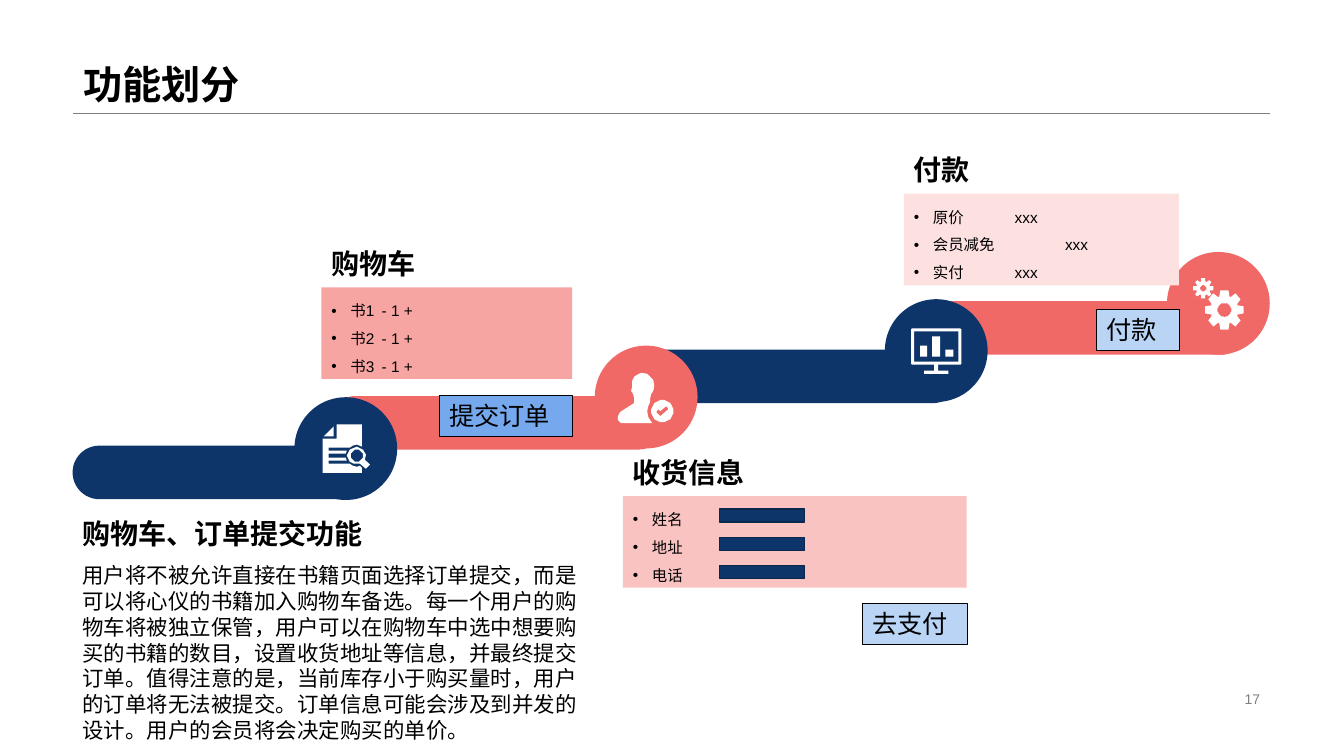
from dataclasses import dataclass
from math import cos, pi, sin

from lxml.etree import SubElement
from pptx import Presentation
from pptx.dml.color import RGBColor
from pptx.enum.shapes import MSO_CONNECTOR, MSO_SHAPE
from pptx.enum.text import MSO_ANCHOR as Anchor, MSO_AUTO_SIZE as AutoSize, PP_ALIGN as Align
from pptx.oxml.ns import qn
from pptx.util import Cm, Pt


@dataclass(frozen=True)
class Theme:
    font: str = "Arial"
    black: str = "000000"
    white: str = "FFFFFF"
    grey: str = "808080"
    navy: str = "0E3569"
    navy_edge: str = "0A274E"
    coral: str = "F06966"
    coral_mid: str = "F6A5A3"
    coral_light: str = "F9C3C2"
    coral_pale: str = "FCE1E0"
    blue: str = "75A8ED"
    blue_light: str = "BAD4F6"
    title: float = 28
    heading: float = 20
    button: float = 18
    body: float = 15.3
    item: float = 11
    number: float = 10


theme = Theme()
presentation = Presentation()
presentation.slide_width, presentation.slide_height = Cm(33.87), Cm(19.05)
slide = presentation.slides.add_slide(presentation.slide_layouts[5])
shapes = slide.shapes


def paint(shape, fill, line=None, width=0.75):
    shape.shadow.inherit = False
    shape.fill.solid()
    shape.fill.fore_color.rgb = RGBColor.from_string(fill)
    if line:
        shape.line.color.rgb = RGBColor.from_string(line)
        shape.line.width = Pt(width)
    else:
        shape.line.fill.background()


def write(shape, lines, size, bold=False, color=theme.black, anchor=Anchor.TOP,
          align=Align.LEFT, spacing=None, bullets=False):
    frame = shape.text_frame
    frame.word_wrap = True
    frame.auto_size = AutoSize.NONE
    frame.vertical_anchor = anchor
    for index, line in enumerate(lines):
        paragraph = frame.add_paragraph() if index else frame.paragraphs[0]
        paragraph.alignment = align
        if spacing:
            paragraph.line_spacing = spacing
        if bullets:
            properties = paragraph._p.get_or_add_pPr()
            properties.set("marL", str(Cm(0.48)))
            properties.set("indent", str(-Cm(0.48)))
            SubElement(properties, qn("a:buFont"), typeface=theme.font)
            SubElement(properties, qn("a:buChar"), char="•")
        run = paragraph.add_run()
        run.text = line
        run.font.name = theme.font
        run.font.size = Pt(size)
        run.font.bold = bold
        run.font.color.rgb = RGBColor.from_string(color)


# Title, rule below it and page number
title = shapes.title
title.left, title.top, title.width, title.height = Cm(1.85), Cm(0), Cm(30.15), Cm(2.84)
write(title, ["功能划分"], theme.title, bold=True, anchor=Anchor.BOTTOM, spacing=0.9)

rule = shapes.add_connector(MSO_CONNECTOR.STRAIGHT, Cm(1.85), Cm(2.84), Cm(32), Cm(2.84))
rule.line.color.rgb = RGBColor.from_string(theme.grey)
rule.line.width = Pt(0.25)
SubElement(rule._element.spPr, qn("a:effectLst"))

page_number = shapes.add_textbox(Cm(23.93), Cm(17.32), Cm(8.08), Cm(0.58))
write(page_number, ["17"], theme.number, color=theme.grey, anchor=Anchor.MIDDLE,
      align=Align.RIGHT)

# Rising path: bars first, then the round stations
for left, top, width, color in [
    (15.7, 8.81, 8.48, theme.navy),
    (8.28, 9.98, 8.48, theme.coral),
    (1.83, 11.23, 7.57, theme.navy),
    (22.96, 7.59, 8.48, theme.coral),
]:
    bar = shapes.add_shape(MSO_SHAPE.ROUNDED_RECTANGLE, Cm(left), Cm(top), Cm(width), Cm(1.35))
    bar.adjustments[0] = 0.5
    paint(bar, color)

# Icon outlines, in hundredths of an inch from the station centre
document_icon = [
    [(-9, -24), (16, -24), (16, -2), (11, -4), (7, -3), (4, -1), (-17, -1), (-17, 2), (1, 2),
     (0, 5), (-17, 5), (-17, 9), (0, 9), (1, 12), (-17, 12), (-17, 15), (4, 15), (7, 17),
     (11, 18), (14, 17), (16, 19), (16, 24), (-23, 24), (-23, -10), (-9, -10)],
    [(-12, -22), (-12, -12), (-22, -12)],
    [(11, -2), (17, 1), (20, 6), (19, 11), (24, 16), (20, 20), (14, 15), (8, 15), (4, 13),
     (1, 7), (4, 1)],
]
person_icon = [
    [(-5, -24), (1, -23), (4, -20), (7, -17), (8, -11), (7, -6), (5, -3), (4, 1), (4, 5),
     (2, 9), (1, 14), (2, 20), (6, 26), (-25, 26), (-28, 23), (-28, 19), (-26, 15), (-12, 6),
     (-12, 1), (-13, -3), (-15, -6), (-14, -10), (-14, -16), (-12, -20), (-9, -22)],
    [(20, 9), (14, 14), (12, 12), (10, 15), (14, 19), (22, 12)],
]
monitor_icon = [
    [(-24, -22), (24, -22), (25, -21), (25, 13), (24, 14), (2, 14), (2, 20), (12, 20),
     (12, 23), (-12, 23), (-12, 20), (-2, 20), (-2, 14), (-24, 14), (-25, 13), (-25, -21)],
]
for left, top, right, bottom in [(-22, -19, 22, 11), (-16, -5, -9, 6), (-4, -14, 4, 6),
                                 (9, -1, 17, 6)]:
    monitor_icon.append([(left, top), (right, top), (right, bottom), (left, bottom)])

gears_icon = []
for x, y, radius in [(6, 6.5, 19.5), (-15, -15, 10)]:
    tooth = [(-0.33, 0.72), (-0.2, 1), (0.2, 1), (0.33, 0.72)]
    gears_icon.append([
        (x + radius * reach * cos(step * pi / 4 + turn),
         y + radius * reach * sin(step * pi / 4 + turn))
        for step in range(8) for turn, reach in tooth])

for icon, x, y, radius in [(document_icon, 11, 7, 6), (person_icon, 16, 14, 11),
                           (gears_icon, 6, 6.5, 7), (gears_icon, -15, -15, 3)]:
    icon.append([(x + radius * cos(step * pi / 16), y + radius * sin(step * pi / 16))
                 for step in range(32)])

diameter = 2.59
for left, top, color, icon in [
    (7.42, 10.01, theme.navy, document_icon),
    (14.99, 8.71, theme.coral, person_icon),
    (22.3, 7.54, theme.navy, monitor_icon),
    (29.41, 6.35, theme.coral, gears_icon),
]:
    station = shapes.add_shape(MSO_SHAPE.OVAL, Cm(left), Cm(top), Cm(diameter), Cm(diameter))
    paint(station, color)
    builder = shapes.build_freeform(*icon[0][0], scale=Cm(2.54) / 100)
    for index, outline in enumerate(icon):
        if index:
            builder.move_to(*outline[0])
        builder.add_line_segments(outline[1:], close=True)
    paint(builder.convert_to_shape(Cm(left + diameter / 2), Cm(top + diameter / 2)), theme.white)

# Description of the whole function
description = shapes.add_textbox(Cm(1.83), Cm(14.05), Cm(13.16), Cm(4.42))
write(description, [
    "用户将不被允许直接在书籍页面选择订单提交，而是可以将心仪的书籍加入购物车备选。"
    "每一个用户的购物车将被独立保管，用户可以在购物车中选中想要购买的书籍的数目，"
    "设置收货地址等信息，并最终提交订单。值得注意的是，当前库存小于购买量时，"
    "用户的订单将无法被提交。订单信息可能会涉及到并发的设计。"
    "用户的会员将会决定购买的单价。"], theme.body)

# Headings, each sitting on top of its content
heading_height = 1.22
for text, left, bottom, width in [
    ("购物车、订单提交功能", 1.83, 14.05, 8.66),
    ("购物车", 8.1, 7.24, 6.93),
    ("收货信息", 15.7, 12.5, 8.66),
    ("付款", 22.78, 4.88, 6.93),
]:
    heading = shapes.add_textbox(Cm(left), Cm(bottom - heading_height), Cm(width),
                                 Cm(heading_height))
    write(heading, [text], theme.heading, bold=True, anchor=Anchor.MIDDLE)

# Cards
for left, top, width, color, items in [
    (8.1, 7.24, 6.32, theme.coral_mid, ["书1\t- 1 +", "书2\t- 1 +", "书3\t- 1 +"]),
    (15.7, 12.5, 8.66, theme.coral_light, ["姓名", "地址", "电话"]),
    (22.78, 4.88, 6.93, theme.coral_pale, ["原价\t\txxx", "会员减免\t\txxx", "实付\t\txxx"]),
]:
    card = shapes.add_shape(MSO_SHAPE.RECTANGLE, Cm(left), Cm(top), Cm(width), Cm(2.31))
    paint(card, color)
    write(card, items, theme.item, spacing=1.5, bullets=True)

# Input fields of the delivery card
for row in range(3):
    field = shapes.add_shape(MSO_SHAPE.RECTANGLE, Cm(18.14), Cm(12.83 + 0.71 * row),
                             Cm(2.13), Cm(0.33))
    paint(field, theme.navy, theme.navy_edge, 1)

# Buttons
for text, left, top, width, color in [
    ("提交订单", 11.07, 9.96, 3.35, theme.blue),
    ("去支付", 21.74, 15.21, 2.64, theme.blue_light),
    ("付款", 27.64, 7.8, 2.08, theme.blue_light),
]:
    button = shapes.add_shape(MSO_SHAPE.RECTANGLE, Cm(left), Cm(top), Cm(width), Cm(1.03))
    paint(button, color, theme.black)
    write(button, [text], theme.button)

presentation.save("out.pptx")
